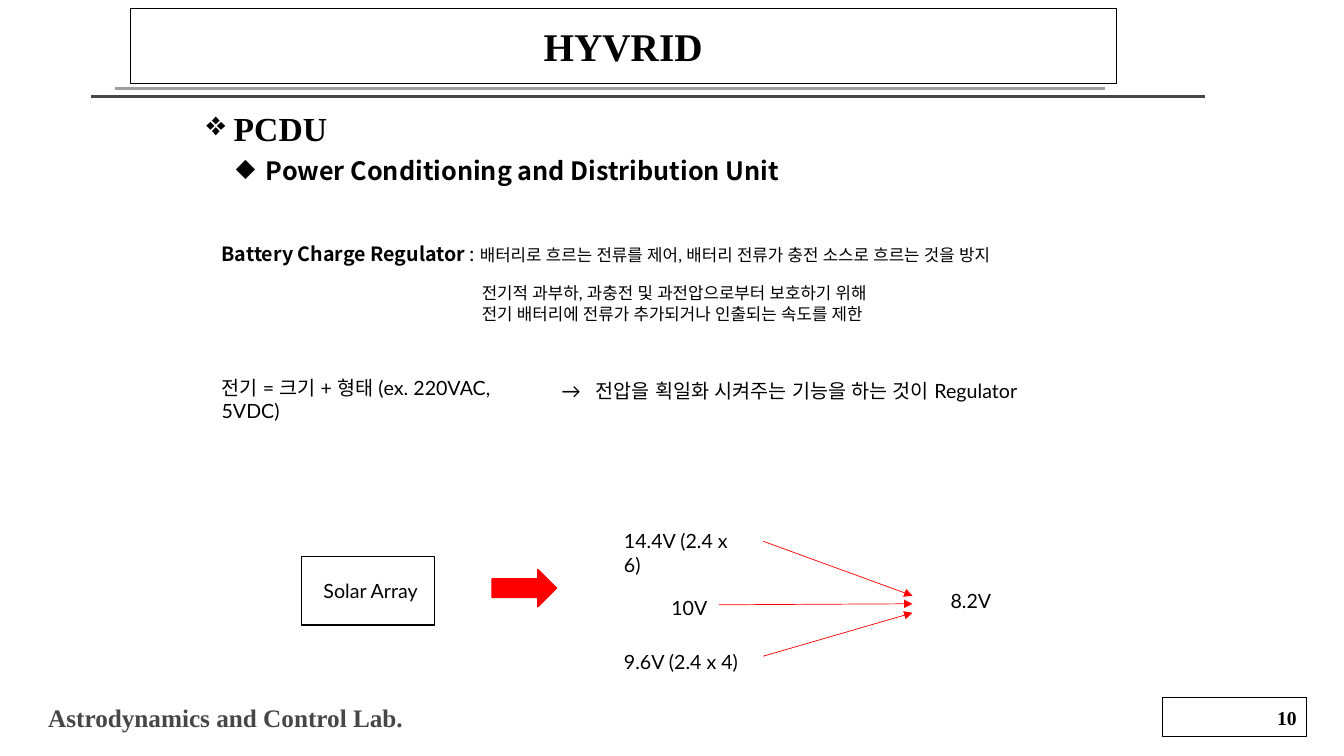
from lxml import etree
from pptx import Presentation
from pptx.dml.color import RGBColor
from pptx.enum.shapes import MSO_CONNECTOR, MSO_SHAPE
from pptx.enum.text import MSO_ANCHOR, MSO_AUTO_SIZE, PP_ALIGN
from pptx.oxml.ns import qn
from pptx.util import Inches, Pt

RECTANGLE, RIGHT_ARROW = MSO_SHAPE.RECTANGLE, MSO_SHAPE.RIGHT_ARROW
LEFT, CENTER, RIGHT = PP_ALIGN.LEFT, PP_ALIGN.CENTER, PP_ALIGN.RIGHT
MIDDLE = MSO_ANCHOR.MIDDLE
FIT, NO_FIT = MSO_AUTO_SIZE.SHAPE_TO_FIT_TEXT, MSO_AUTO_SIZE.NONE
STRAIGHT = MSO_CONNECTOR.STRAIGHT

SERIF, SANS, KOREAN = "Times New Roman", "Lato", "Noto Sans CJK KR"
BLACK, WHITE, RED, DARK, GRAY = "000000", "FFFFFF", "FF0000", "474747", "9F9F9F"

SMALL = {"name": SANS, "size": 12, "bold": False, "color": BLACK}
NORMAL = {**SMALL, "size": 14}
TITLE = {"name": SERIF, "size": 28, "bold": True, "color": BLACK}
HEADING = {**TITLE, "size": 24}
SUBHEADING = {**TITLE, "name": KOREAN, "size": 18}
TERM = {**SUBHEADING, "size": 14}
COLON = {**TERM, "bold": False}
FOOTER = {**TITLE, "size": 18, "color": DARK}
NUMBER = {**TITLE, "size": 14}

RULES = [
    ((0.9, 0.96), (11.95, 0.96), DARK),
    ((1.14, 0.88), (10.96, 0.88), GRAY),
]
SHAPES = [
    (RECTANGLE, (11.53, 6.92, 1.43, 0.39), None, BLACK, 0.75, "10", NUMBER, RIGHT),
    (RECTANGLE, (1.29, 0.08, 9.78, 0.75), None, BLACK, 0.75, "HYVRID", TITLE, CENTER),
    (RECTANGLE, (2.99, 5.52, 1.32, 0.68), WHITE, BLACK, 1, "", NORMAL, CENTER),
    (RIGHT_ARROW, (4.88, 5.65, 0.64, 0.37), RED, RED, 1, "", NORMAL, CENTER),
]
OUTLINE = [
    ("PCDU", HEADING, "❖", 0.27, -0.27, 0),
    ("Power Conditioning and Distribution Unit", SUBHEADING, "◆", 0.59, -0.3, 5),
]
REGULATOR = [
    ("Battery Charge Regulator ", TERM),
    (": ", COLON),
    ("배터리로 흐르는 전류를 제어, 배터리 전류가 충전 소스로 흐르는 것을 방지", SMALL),
]
PURPOSE = [
    "전기적 과부하, 과충전 및 과전압으로부터 보호하기 위해",
    "전기 배터리에 전류가 추가되거나 인출되는 속도를 제한",
]
LABELS = [
    ((2.1, 3.68, 3.37), "전기 = 크기 + 형태 (ex. 220VAC, 5VDC)"),
    ((5.47, 3.71, 5.59), "→\t전압을 획일화 시켜주는 기능을 하는 것이 Regulator"),
    ((3.11, 5.69, 1.36), "Solar Array"),
    ((6.09, 5.2, 1.36), "14.4V (2.4 x 6)"),
    ((6.56, 5.86, 1.36), "10V"),
    ((6.09, 6.4, 1.36), "9.6V (2.4 x 4)"),
    ((9.33, 5.79, 0.64), "8.2V"),
]
LABEL_HEIGHT = 0.34
VOLTAGE_ARROWS = [
    ((7.57, 5.37), (9.05, 5.91)),
    ((7.13, 6), (9.05, 5.99)),
    ((7.57, 6.51), (9.05, 6.08)),
]


def rgb(value):
    return RGBColor.from_string(value)


def write(paragraph, runs):
    for text, style in runs:
        run = paragraph.add_run()
        run.text = text
        values = {"name": style["name"], "size": Pt(style["size"]), "bold": style["bold"]}
        for key, value in values.items():
            setattr(run.font, key, value)
        run.font.color.rgb = rgb(style["color"])
        properties = run.font._element
        etree.SubElement(properties, qn("a:ea"), typeface=style["name"])


def add_text(slide, box, paragraphs, wrap=True, fit=FIT):
    shape = slide.shapes.add_textbox(*map(Inches, box))
    frame = shape.text_frame
    frame.word_wrap = wrap
    frame.auto_size = fit
    for index, runs in enumerate(paragraphs):
        paragraph = frame.add_paragraph() if index else frame.paragraphs[0]
        write(paragraph, runs)
    return frame


def add_line(slide, start, end, color, width, arrow=False):
    line = slide.shapes.add_connector(STRAIGHT, *map(Inches, start + end))
    line.line.color.rgb = rgb(color)
    line.line.width = Pt(width)
    if arrow:
        etree.SubElement(line.line._get_or_add_ln(), qn("a:tailEnd"), type="triangle")
    etree.SubElement(line._element.spPr, qn("a:effectLst"))


def add_shape(slide, kind, box, fill, color, width, text, style, align):
    shape = slide.shapes.add_shape(kind, *map(Inches, box))
    shape.shadow.inherit = False
    if fill:
        shape.fill.solid()
        shape.fill.fore_color.rgb = rgb(fill)
    else:
        shape.fill.background()
    shape.line.color.rgb = rgb(color)
    shape.line.width = Pt(width)
    if text:
        shape.text_frame.vertical_anchor = MIDDLE
        paragraph = shape.text_frame.paragraphs[0]
        paragraph.alignment = align
        write(paragraph, [(text, style)])


def add_outline(slide):
    runs = [[(text, style)] for text, style, *_ in OUTLINE]
    frame = add_text(slide, (1.95, 1.02, 9.44, 0.5), runs, fit=NO_FIT)
    for paragraph, (_, _, bullet, margin, indent, before) in zip(frame.paragraphs, OUTLINE):
        paragraph.space_before = Pt(before)
        properties = paragraph._p.get_or_add_pPr()
        properties.set("marL", str(Inches(margin)))
        properties.set("indent", str(Inches(indent)))
        etree.SubElement(properties, qn("a:buChar"), char=bullet)


def add_label(slide, place, text):
    frame = add_text(slide, (*place, LABEL_HEIGHT), [[(text, NORMAL)]])
    if "\t" in text:
        properties = frame.paragraphs[0]._p.get_or_add_pPr()
        tabs = etree.SubElement(properties, qn("a:tabLst"))
        etree.SubElement(tabs, qn("a:tab"), pos=str(Inches(0.34)), algn="l")


def main():
    presentation = Presentation()
    presentation.slide_width = Inches(13.33)
    presentation.slide_height = Inches(7.5)
    slide = presentation.slides.add_slide(presentation.slide_layouts[6])
    add_text(slide, (0.38, 6.92, 3.76, 0.4),
             [[("Astrodynamics and Control Lab.", FOOTER)]], wrap=False)
    for start, end, color in RULES:
        add_line(slide, start, end, color, 2.25)
    for item in SHAPES:
        add_shape(slide, *item)
    add_outline(slide)
    add_text(slide, (2.1, 2.35, 8.76, 0.54), [REGULATOR])
    add_text(slide, (4.68, 2.76, 7.25, 0.5), [[(text, SMALL)] for text in PURPOSE])
    for place, text in LABELS:
        add_label(slide, place, text)
    for start, end in VOLTAGE_ARROWS:
        add_line(slide, start, end, RED, 0.5, arrow=True)
    presentation.save("out.pptx")


if __name__ == "__main__":
    main()
